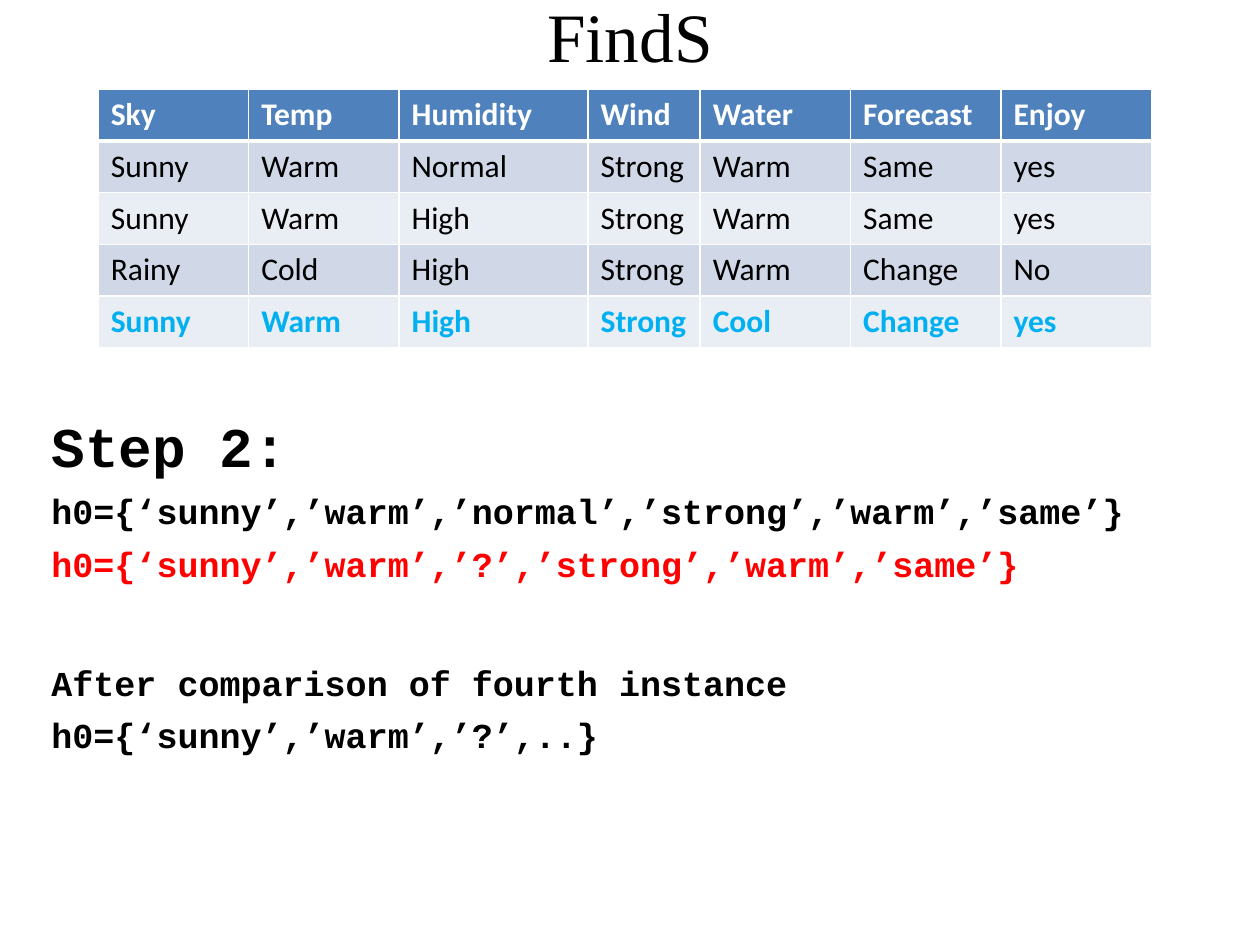
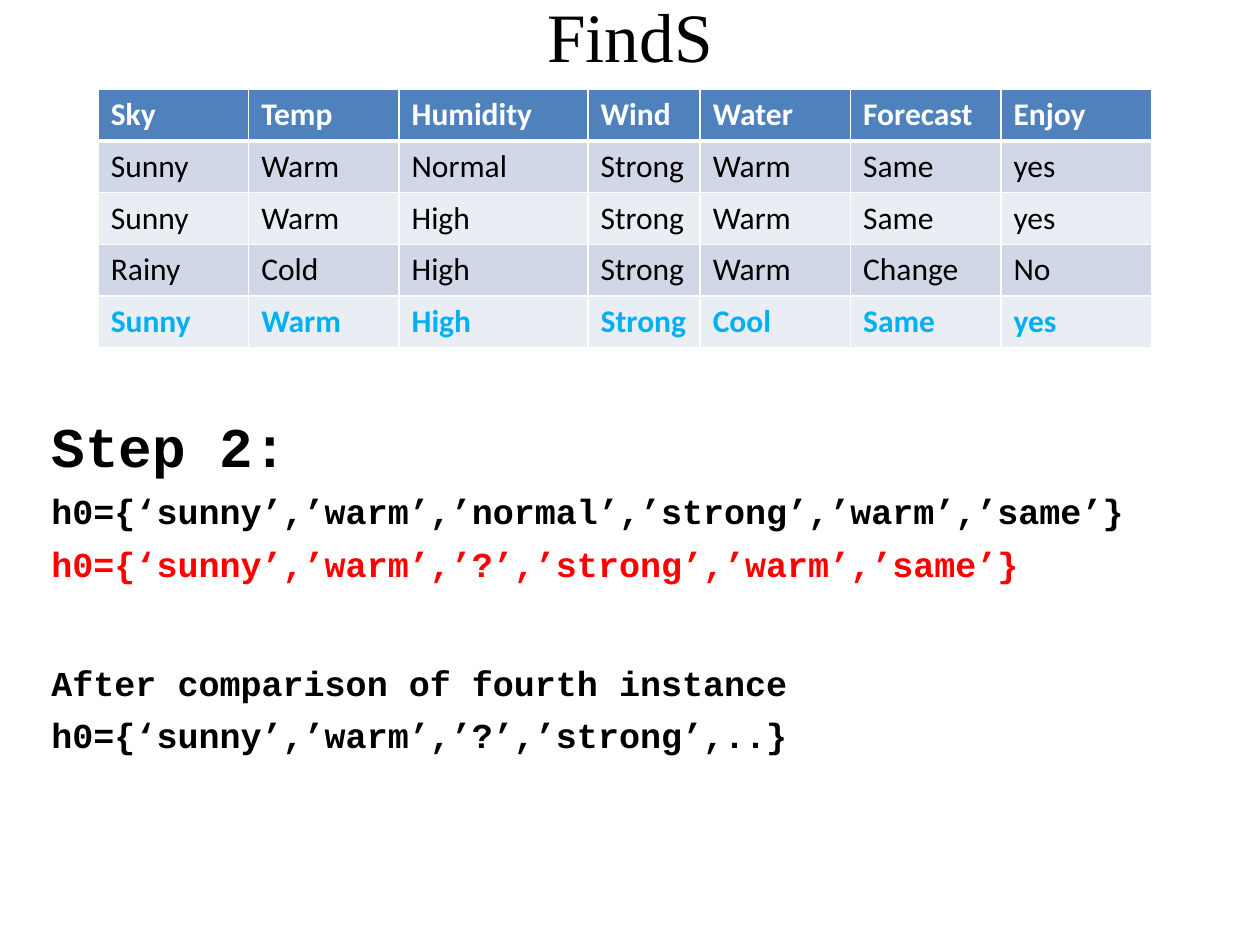
from dataclasses import dataclass

from lxml import etree
from pptx import Presentation
from pptx.dml.color import RGBColor
from pptx.enum.text import MSO_ANCHOR, PP_ALIGN
from pptx.oxml.ns import qn
from pptx.util import Inches, Pt

BLACK, WHITE, RED, CYAN = "000000", "FFFFFF", "FF0000", "00B0F0"
HEADER_BLUE = "4F81BD"
BANDS = ("D0D8E8", "E9EDF4")

# Table geometry: the five ordinary columns share what the others leave
TABLE_WIDTH, ROW_HEIGHT = 8.36, 0.41
HUMIDITY_WIDTH, WIND_WIDTH = 1.5, 0.89
COMMON_WIDTH = (TABLE_WIDTH - HUMIDITY_WIDTH - WIND_WIDTH) / 5
SPECIAL_WIDTHS = {"Humidity": HUMIDITY_WIDTH, "Wind": WIND_WIDTH}

HEADINGS = ("Sky", "Temp", "Humidity", "Wind", "Water", "Forecast", "Enjoy")
INSTANCES = (
    ("Sunny", "Warm", "Normal", "Strong", "Warm", "Same", "yes"),
    ("Sunny", "Warm", "High", "Strong", "Warm", "Same", "yes"),
    ("Rainy", "Cold", "High", "Strong", "Warm", "Change", "No"),
)


@dataclass(frozen=True)
class TextLine:
    text: str
    size: float = 20
    color: str = BLACK
    font: str = "Courier New"
    bold: bool = True
    space_before: float = 6


@dataclass(frozen=True)
class FindSStep:
    fourth_forecast: str
    hypothesis: str


STEPS = (
    FindSStep("Change", "h0={‘sunny’,’warm’,’?’,..}"),
    FindSStep("Same", "h0={‘sunny’,’warm’,’?’,’strong’,..}"),
)


def rgb(value: str) -> RGBColor:
    return RGBColor.from_string(value)


def write_line(paragraph, line: TextLine, alignment=PP_ALIGN.LEFT) -> None:
    paragraph.alignment = alignment
    paragraph.space_before = Pt(line.space_before)
    run = paragraph.add_run()
    run.text = line.text
    formats = {"size": Pt(line.size), "name": line.font, "bold": line.bold}
    for attribute, value in formats.items():
        setattr(run.font, attribute, value)
    run.font.color.rgb = rgb(line.color)


def add_text(slide, left: float, top: float, width: float, height: float,
             lines: tuple, alignment=PP_ALIGN.LEFT, anchor=MSO_ANCHOR.TOP) -> None:
    shape = slide.shapes.add_textbox(Inches(left), Inches(top), Inches(width), Inches(height))
    frame = shape.text_frame
    for attribute, value in {"word_wrap": True, "vertical_anchor": anchor}.items():
        setattr(frame, attribute, value)
    for index, line in enumerate(lines):
        paragraph = frame.add_paragraph() if index else frame.paragraphs[0]
        write_line(paragraph, line, alignment)


def set_borders(cell, row: int) -> None:
    """White grid, with a heavier rule under the heading row."""
    widths = {"a:lnL": 1, "a:lnR": 1,
              "a:lnT": 3 if row == 1 else 1, "a:lnB": 3 if row == 0 else 1}
    properties = cell._tc.get_or_add_tcPr()
    for position, (tag, width) in enumerate(widths.items()):
        border = etree.Element(qn(tag), w=str(Pt(width)))
        fill = etree.SubElement(border, qn("a:solidFill"))
        etree.SubElement(fill, qn("a:srgbClr"), val=WHITE)
        properties.insert(position, border)


def add_instance_table(slide, fourth_instance: tuple) -> None:
    rows = (HEADINGS, *INSTANCES, fourth_instance)
    table = slide.shapes.add_table(
        len(rows), len(HEADINGS), Inches(0.78), Inches(0.71),
        Inches(TABLE_WIDTH), Inches(ROW_HEIGHT * len(rows))).table
    for column, heading in zip(table.columns, HEADINGS):
        column.width = Inches(SPECIAL_WIDTHS.get(heading, COMMON_WIDTH))
    text_colors = {0: WHITE, len(rows) - 1: CYAN}
    for row, values in enumerate(rows):
        for column, value in enumerate(values):
            cell = table.cell(row, column)
            cell.fill.solid()
            cell.fill.fore_color.rgb = rgb(BANDS[(row - 1) % 2] if row else HEADER_BLUE)
            set_borders(cell, row)
            write_line(cell.text_frame.paragraphs[0],
                       TextLine(value, 18, text_colors.get(row, BLACK), "Calibri",
                                row in text_colors, 0))


def add_step_slide(presentation, step: FindSStep) -> None:
    slide = presentation.slides.add_slide(presentation.slide_layouts[6])
    # Title
    add_text(slide, 0.5, 0, 9, 0.55,
             (TextLine("FindS", 39.6, font="Times New Roman", bold=False, space_before=0),),
             PP_ALIGN.CENTER, MSO_ANCHOR.MIDDLE)
    # Hypotheses
    add_text(slide, 0.31, 3.22, 9.19, 3.48, (
        TextLine("Step 2:", 32, space_before=0),
        TextLine("h0={‘sunny’,’warm’,’normal’,’strong’,’warm’,’same’}"),
        TextLine("h0={‘sunny’,’warm’,’?’,’strong’,’warm’,’same’}", color=RED),
        TextLine("After comparison of fourth instance", space_before=44),
        TextLine(step.hypothesis),
    ))
    # Training instances
    add_instance_table(slide, ("Sunny", "Warm", "High", "Strong", "Cool",
                               step.fourth_forecast, "yes"))


def main() -> None:
    presentation = Presentation()
    presentation.slide_width, presentation.slide_height = Inches(10), Inches(7.5)
    for step in STEPS:
        add_step_slide(presentation, step)
    presentation.save("out.pptx")


if __name__ == "__main__":
    main()
